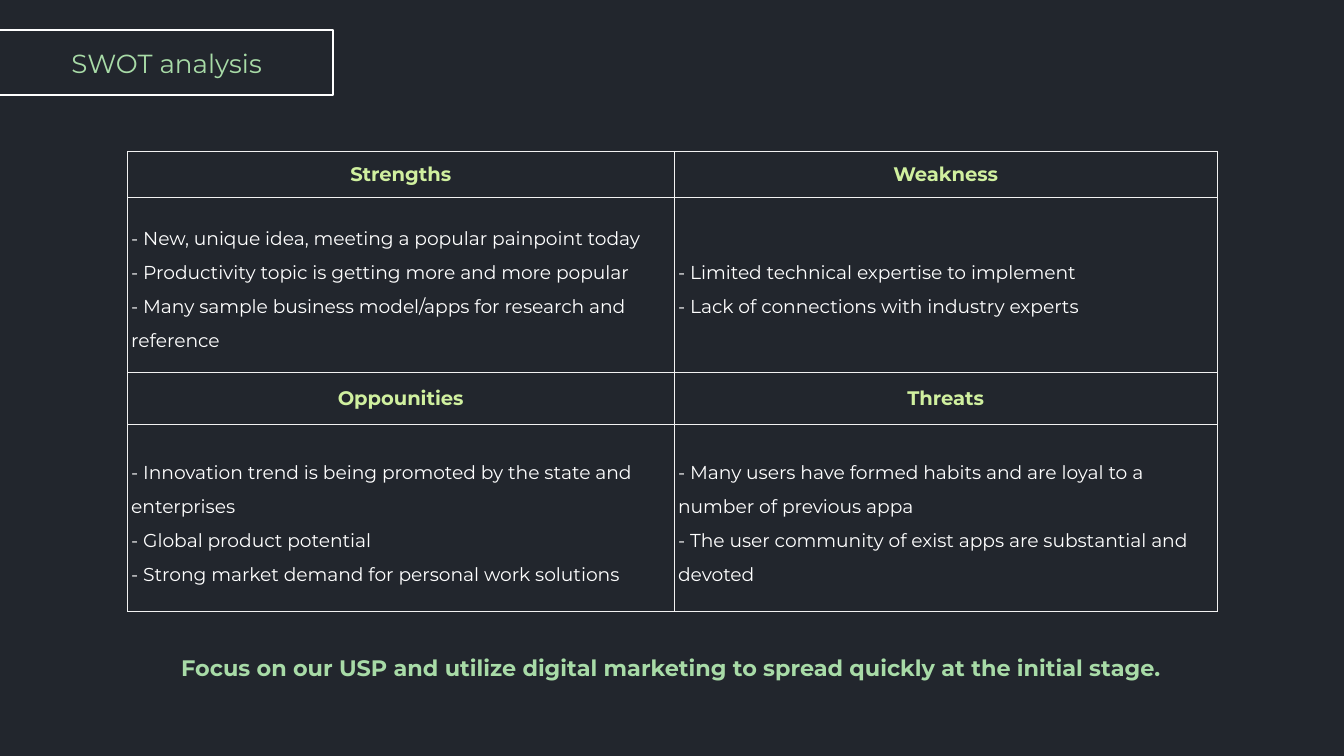
from lxml.etree import SubElement
from pptx import Presentation
from pptx.dml.color import RGBColor
from pptx.enum.shapes import MSO_SHAPE as Shape
from pptx.enum.text import MSO_ANCHOR as Anchor, PP_ALIGN as Align
from pptx.oxml.ns import qn
from pptx.util import Pt

BACKGROUND = RGBColor(0x22, 0x26, 0x2D)
WHITE = RGBColor(0xFF, 0xFF, 0xFF)
BORDER = RGBColor(0xF2, 0xF2, 0xF2)
GREEN = RGBColor(0xA8, 0xDB, 0xA7)
LIME = RGBColor(0xD0, 0xF0, 0x9F)
FONT = "Montserrat"

COLUMN_WIDTHS = [293, 290.9]
ROW_HEIGHTS = [24.6, 93.4, 28.3, 100.2]
HEADINGS = [["Strengths", "Weakness"], ["Oppounities", "Threats"]]
POINTS = [
    [
        [
            "- New, unique idea, meeting a popular painpoint today",
            "- Productivity topic is getting more and more popular",
            "- Many sample business model/apps for research and reference",
        ],
        [
            "- Limited technical expertise to implement",
            "- Lack of connections with industry experts",
        ],
    ],
    [
        [
            "- Innovation trend is being promoted by the state and enterprises",
            "- Global product potential",
            "- Strong market demand for personal work solutions",
        ],
        [
            "- Many users have formed habits and are loyal to a number of previous appa",
            "- The user community of exist apps are substantial and devoted",
        ],
    ],
]


def write(frame, lines, size, color, bold=False, align=Align.LEFT, spacing=None):
    for index, line in enumerate(lines):
        para = frame.add_paragraph() if index else frame.paragraphs[0]
        para.text = line
        para.alignment = align
        para.line_spacing = spacing
        para.font.name = FONT
        para.font.size = Pt(size)
        para.font.bold = bold
        para.font.color.rgb = color


def add_text(page, left, top, width, height, text, size, **style):
    box = page.shapes.add_textbox(Pt(left), Pt(top), Pt(width), Pt(height))
    box.text_frame.word_wrap = True
    write(box.text_frame, [text], size, GREEN, **style)
    return box.text_frame


def add_title(page, left, top, width, height):
    text_left = 0
    frame = add_text(page, text_left, top + 8, left + width - text_left, 20,
                     "SWOT analysis", 14, align=Align.CENTER)
    frame.vertical_anchor = Anchor.MIDDLE
    frame.margin_top = frame.margin_bottom = Pt(7.2)
    outline = page.shapes.add_shape(Shape.RECTANGLE, Pt(left), Pt(top), Pt(width), Pt(height))
    outline.shadow.inherit = False
    outline.fill.background()
    outline.line.color.rgb = WHITE
    outline.line.width = Pt(1)


def style_cell(cell):
    cell.vertical_anchor = Anchor.MIDDLE
    cell.margin_left = cell.margin_right = Pt(2.1)
    cell.margin_top = cell.margin_bottom = Pt(1.4)
    properties = cell._tc.get_or_add_tcPr()
    for side in ("lnL", "lnR", "lnT", "lnB"):
        line = SubElement(properties, qn(f"a:{side}"), w=str(Pt(0.25)))
        fill = SubElement(line, qn("a:solidFill"))
        SubElement(fill, qn("a:srgbClr"), val=str(BORDER))
    cell.fill.background()


def add_swot_table(page, left, top):
    table = page.shapes.add_table(
        len(ROW_HEIGHTS), len(COLUMN_WIDTHS), Pt(left), Pt(top),
        Pt(sum(COLUMN_WIDTHS)), Pt(sum(ROW_HEIGHTS))).table
    table.first_row = table.horz_banding = False
    for column, width in zip(table.columns, COLUMN_WIDTHS):
        column.width = Pt(width)
    for row, height in zip(table.rows, ROW_HEIGHTS):
        row.height = Pt(height)
    for cell in table.iter_cells():
        style_cell(cell)
    for band, (headings, points) in enumerate(zip(HEADINGS, POINTS)):
        for column, (heading, lines) in enumerate(zip(headings, points)):
            write(table.cell(2 * band, column).text_frame, [heading], 10.5, LIME,
                  bold=True, align=Align.CENTER)
            write(table.cell(2 * band + 1, column).text_frame, lines, 10, WHITE, spacing=1.5)


def main():
    deck = Presentation()
    deck.slide_width, deck.slide_height = Pt(720), Pt(405)
    page = deck.slides.add_slide(deck.slide_layouts[6])
    page.background.fill.solid()
    page.background.fill.fore_color.rgb = BACKGROUND
    add_title(page, -5, 15.9, 183.6, 35.2)
    add_swot_table(page, 68.2, 81.2)
    add_text(page, 90, 347, 562.3, 21.8,
             "Focus on our USP and utilize digital marketing to spread quickly at the initial stage.",
             12, bold=True)
    deck.save("out.pptx")


if __name__ == "__main__":
    main()
